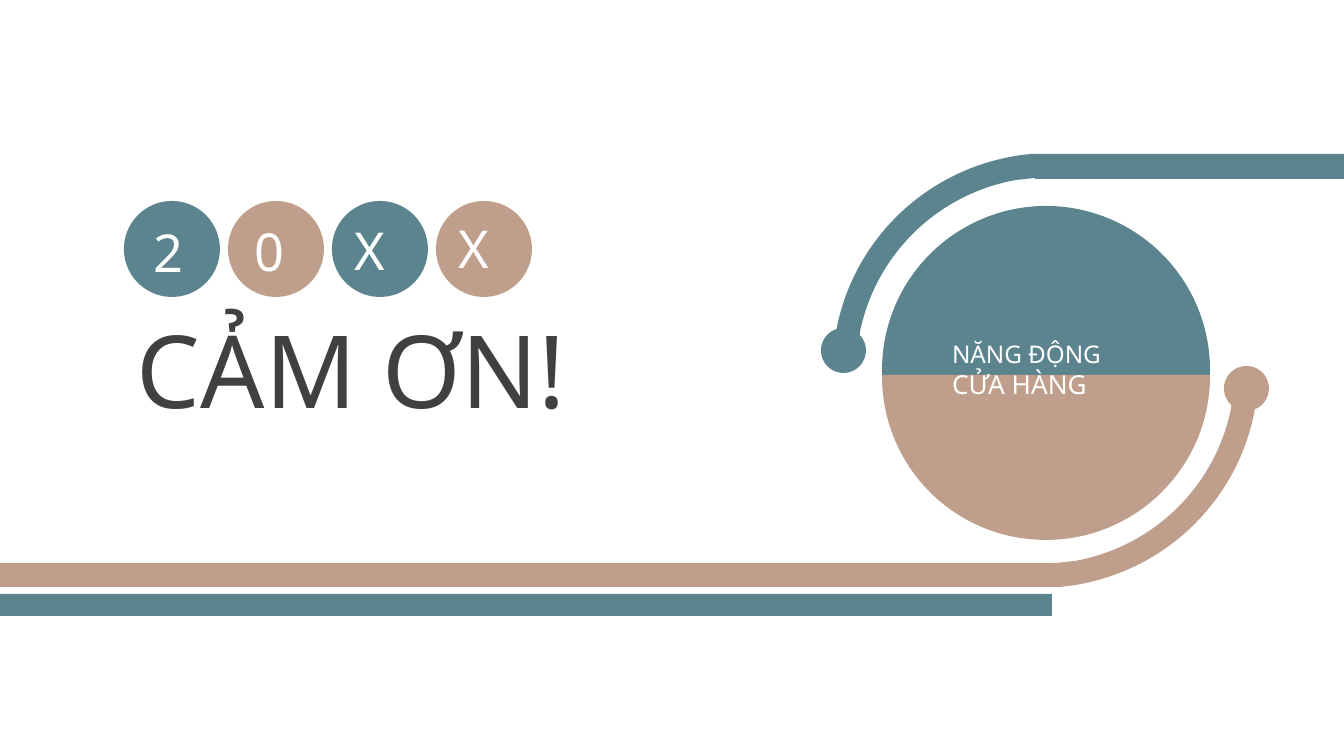
from lxml import etree
from pptx import Presentation
from pptx.dml.color import RGBColor
from pptx.enum.shapes import MSO_SHAPE
from pptx.enum.text import MSO_ANCHOR, MSO_AUTO_SIZE, PP_ALIGN
from pptx.oxml.ns import qn
from pptx.util import Pt

RECTANGLE = MSO_SHAPE.RECTANGLE
OVAL = MSO_SHAPE.OVAL
MIDDLE = MSO_ANCHOR.MIDDLE
LEFT = PP_ALIGN.LEFT
NO_AUTOFIT = MSO_AUTO_SIZE.NONE

PX = 914400 / 134.4
THEME = {
    "font": "Noto Sans",
    "teal": RGBColor.from_string("5C848E"),
    "tan": RGBColor.from_string("BF9F8B"),
    "dark": RGBColor.from_string("404040"),
    "white": RGBColor.from_string("FFFFFF"),
    "title": 54,
    "digit": 28,
    "label": (13, 14),
}


def paint(shape, color):
    shape.shadow.inherit = False
    shape.fill.solid()
    shape.fill.fore_color.rgb = THEME[color]
    shape.line.fill.background()


def write(box, lines, color):
    frame = box.text_frame
    frame.word_wrap = True
    frame.auto_size = NO_AUTOFIT
    frame.vertical_anchor = MIDDLE
    frame.margin_left = round(13 * PX)
    frame.margin_right = 0
    for index, (text, size) in enumerate(lines):
        para = frame.add_paragraph() if index else frame.paragraphs[0]
        para.alignment = LEFT
        para.line_spacing = 1.0
        span = para.add_run()
        span.text = text
        span.font.name = THEME["font"]
        span.font.size = Pt(size)
        span.font.color.rgb = THEME[color]


deck = Presentation()
deck.slide_width = round(1344 * PX)
deck.slide_height = round(756 * PX)
page = deck.slides.add_slide(deck.slide_layouts[5])
shapes = page.shapes

title = shapes.title
title.left, title.top, title.width, title.height = [
    round(length * PX) for length in (124, 301, 711, 134)
]
write(title, [("CẢM ƠN!", THEME["title"])], "dark")

solids = [
    (RECTANGLE, 1035, 154, 309, 25, "teal"),
    (OVAL, 821, 328, 45, 45, "teal"),
    (OVAL, 882, 206, 328, 328, "teal"),
    (RECTANGLE, 0, 563, 1056, 24, "tan"),
    (OVAL, 1224, 366, 45, 45, "tan"),
    (RECTANGLE, 0, 594, 1052, 22, "teal"),
]
solids += [
    (OVAL, 124 + 104 * index, 201, 96, 96, ("teal", "tan")[index % 2])
    for index in range(4)
]
for kind, left, top, width, height, color in solids:
    solid = shapes.add_shape(
        kind, *[round(length * PX) for length in (left, top, width, height)]
    )
    paint(solid, color)

hook = [
    [(1035, 154)],
    [(1031, 154)],
    [(934, 163), (856, 234), (837, 327)],
    [(835, 340)],
    [(859, 340)],
    [(860, 332)],
    [(876, 254), (938, 194), (1016, 180)],
    [(1035, 178)],
]
turned_hook = [[(2091 - x, 741 - y) for x, y in part] for part in hook]
half_disc = [
    [(1210, 375)],
    [(882, 375)],
    [(882, 376)],
    [(882, 467), (955, 540), (1046, 540)],
    [(1136, 540), (1210, 467), (1210, 376)],
]
for outline, color in [(hook, "teal"), (half_disc, "tan"), (turned_hook, "tan")]:
    parts = [[(round(x * PX), round(y * PX)) for x, y in part] for part in outline]
    builder = shapes.build_freeform(*parts[0][-1])
    builder.add_line_segments([part[-1] for part in parts[1:]], close=True)
    figure = builder.convert_to_shape()
    paint(figure, color)
    segments = list(figure.element.iter(qn("a:lnTo")))
    for segment, part in zip(segments, parts[1:]):
        if len(part) == 3:
            segment.tag = qn("a:cubicBezTo")
            for position, (x, y) in enumerate(part[:2]):
                handle = etree.Element(qn("a:pt"))
                handle.set("x", str(x - figure.left))
                handle.set("y", str(y - figure.top))
                segment.insert(position, handle)

digits = [("2", 141, 213, 69), ("0", 242, 212, 69), ("X", 342, 211, 58), ("X", 446, 209, 58)]
for digit, left, top, width in digits:
    box = shapes.add_textbox(*[round(length * PX) for length in (left, top, width, 77)])
    write(box, [(digit, THEME["digit"])], "white")

label = shapes.add_textbox(*[round(length * PX) for length in (939, 332, 177, 75)])
write(label, zip(("NĂNG ĐỘNG", "CỬA HÀNG"), THEME["label"]), "white")

deck.save("out.pptx")
